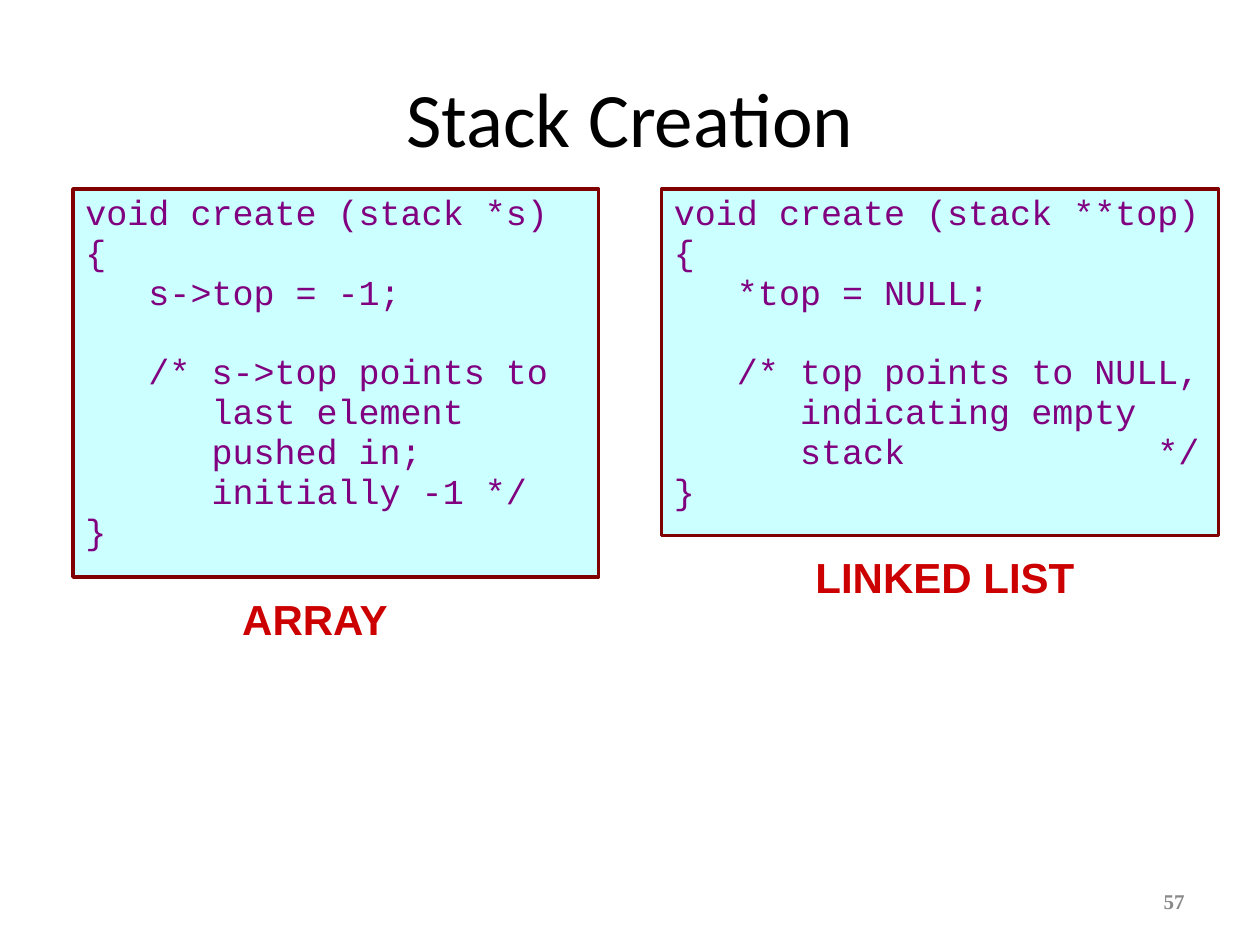
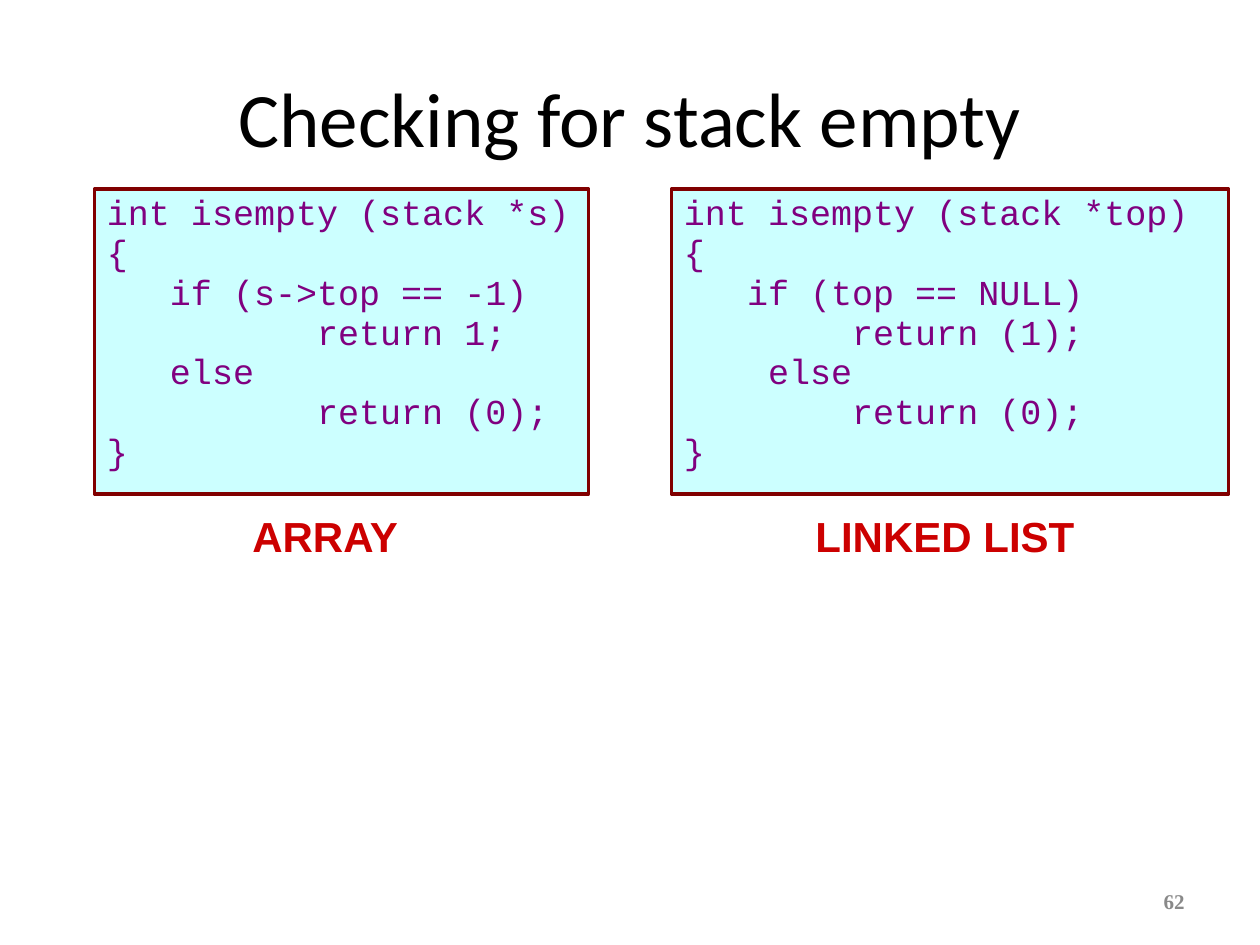
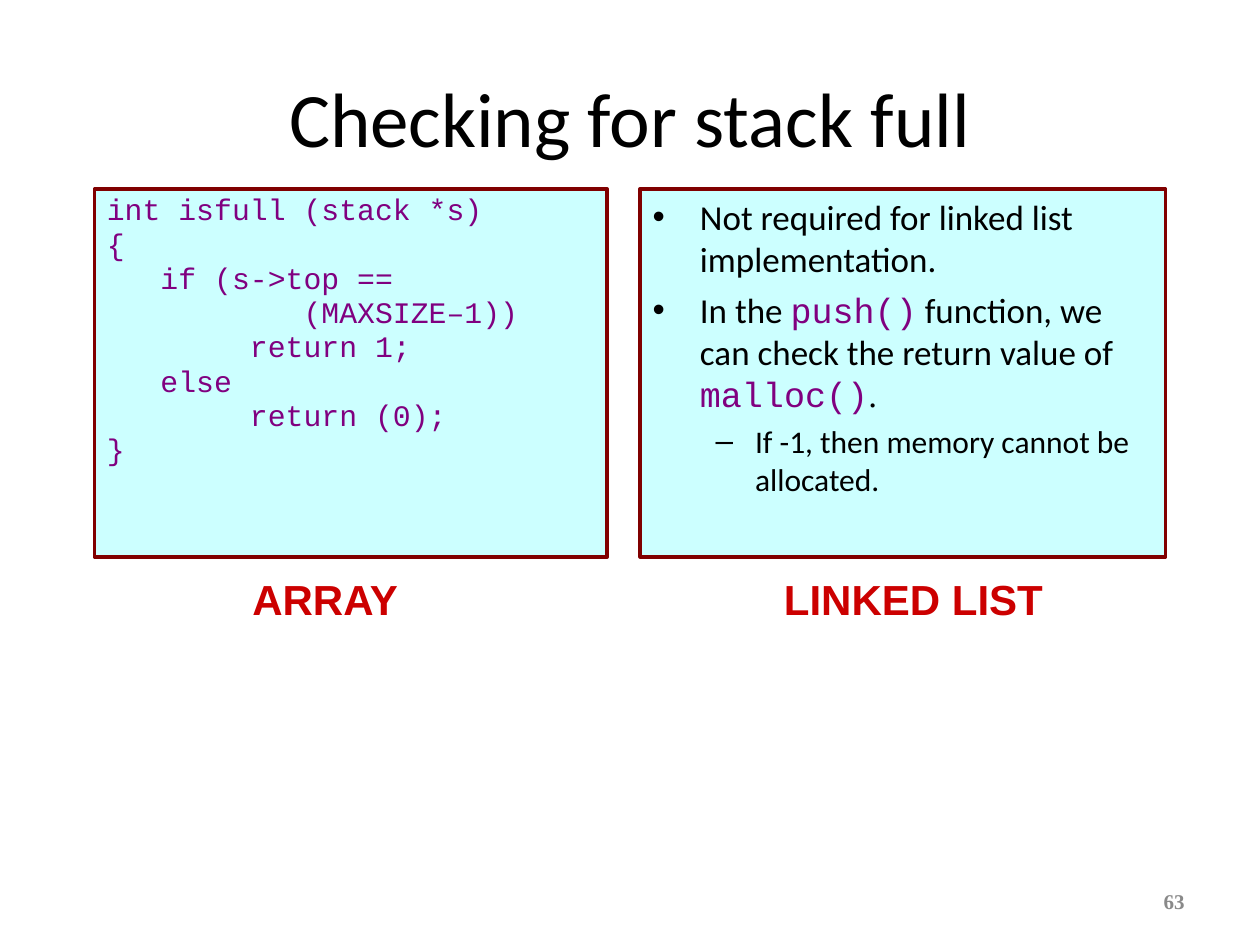
import pptx
import pptx.dml.color
import pptx.enum.shapes
import pptx.enum.text
import pptx.util

Inches, Pt = pptx.util.Inches, pptx.util.Pt
ALIGN = pptx.enum.text.PP_ALIGN
ANCHOR = pptx.enum.text.MSO_ANCHOR

BLACK, PANEL_FILL, PANEL_LINE = "000000", "CCFFFF", "800000"
CODE_COLOUR, LABEL_COLOUR, NUMBER_COLOUR = "800080", "CC0000", "898989"
SANS, CODE, LABEL, SERIF = "Calibri", "Courier New", "Arial", "Times New Roman"

PANEL_TOP, LABEL_GAP, LABEL_HEIGHT = 1.5, 0.08, 0.5
LABEL_WIDTHS = {"ARRAY": 1.83, "LINKED LIST": 3.17}
LIST_SIZES = [20, 18]
LIST_SPACING = [5, 4.5]
TITLE_AND_CONTENT, TITLE_ONLY = 1, 5

CREATE_ARRAY = """void create (stack *s)
{
   s->top = -1;

   /* s->top points to
      last element
      pushed in;
      initially -1 */
}"""

CREATE_LINKED = """void create (stack **top)
{
   *top = NULL;

   /* top points to NULL,
      indicating empty
      stack            */
}"""

EMPTY_ARRAY = """int isempty (stack *s)
{
   if (s->top == -1)
          return 1;
   else
          return (0);
}"""

EMPTY_LINKED = """int isempty (stack *top)
{
   if (top == NULL)
        return (1);
    else
        return (0);
}"""

FULL_ARRAY = """int isfull (stack *s)
{
   if (s->top ==
           (MAXSIZE–1))
        return 1;
   else
        return (0);
}"""

# Each item: level, then spans of (text, font)
FULL_LINKED = [
    (0, [("Not required for linked list implementation.", SANS)]),
    (0, [("In the ", SANS), ("push()", CODE),
         (" function, we can check the return value of ", SANS),
         ("malloc()", CODE), (".", SERIF)]),
    (1, [("If -1, then memory cannot be allocated.", SANS)]),
]

# Each panel: label, label centre, left, width, height, code size, content
SLIDES = [
    ("Stack Creation", 57, [
        ("ARRAY", 2.5, 0.58, 4.17, 3.08, 20, CREATE_ARRAY),
        ("LINKED LIST", 7.5, 5.25, 4.42, 2.75, 20, CREATE_LINKED)]),
    ("Checking for stack empty", 62, [
        ("ARRAY", 2.58, 0.75, 3.92, 2.42, 20, EMPTY_ARRAY),
        ("LINKED LIST", 7.5, 5.33, 4.42, 2.42, 20, EMPTY_LINKED)]),
    ("Checking for stack full", 63, [
        ("ARRAY", 2.58, 0.75, 4.07, 2.92, 17, FULL_ARRAY),
        ("LINKED LIST", 7.25, 5.08, 4.17, 2.92, None, FULL_LINKED)]),
]


def colour(value):
    return pptx.dml.color.RGBColor.from_string(value)


def style(font, name, size, value, bold=False):
    font.name, font.size, font.bold = name, Pt(size), bold
    font.color.rgb = colour(value)


def place(shape, left, top, width, height):
    shape.left, shape.top = Inches(left), Inches(top)
    shape.width, shape.height = Inches(width), Inches(height)


def set_frame(shape, anchor):
    frame = shape.text_frame
    frame.word_wrap = True
    frame.auto_size = pptx.enum.text.MSO_AUTO_SIZE.NONE
    frame.vertical_anchor = anchor
    return frame


def paint_panel(shape):
    shape.fill.solid()
    shape.fill.fore_color.rgb = colour(PANEL_FILL)
    shape.line.color.rgb = colour(PANEL_LINE)
    shape.line.width = Pt(2)


def add_title(slide, text):
    title = slide.shapes.title
    place(title, 0.5, 0.3, 9, 1.25)
    frame = set_frame(title, ANCHOR.MIDDLE)
    frame.text = text
    frame.paragraphs[0].alignment = ALIGN.CENTER
    style(frame.paragraphs[0].runs[0].font, SANS, 44, BLACK)


def add_text(slide, text, area, anchor, align, *font_style):
    box = slide.shapes.add_textbox(*map(Inches, area))
    frame = set_frame(box, anchor)
    frame.text = text
    frame.paragraphs[0].alignment = align
    style(frame.paragraphs[0].runs[0].font, *font_style)


def add_code(slide, area, size, code):
    box = slide.shapes.add_shape(
        pptx.enum.shapes.MSO_SHAPE.RECTANGLE, *map(Inches, area))
    box.shadow.inherit = False
    paint_panel(box)
    frame = set_frame(box, ANCHOR.TOP)
    frame.text = code
    for index, para in enumerate(frame.paragraphs):
        para.alignment = ALIGN.LEFT
        para.line_spacing = 0.9
        para.space_before = Pt(1.2 if index else 0)
        style(para.font, CODE, size, CODE_COLOUR)
        for span in para.runs:
            style(span.font, CODE, size, CODE_COLOUR)


def add_list(slide, area, items):
    body = slide.placeholders[1]
    place(body, *area)
    paint_panel(body)
    frame = set_frame(body, ANCHOR.TOP)
    for index, (level, spans) in enumerate(items):
        para = frame.add_paragraph() if index else frame.paragraphs[0]
        para.level = level
        para.space_before = Pt(LIST_SPACING[level] if index else 0)
        for text, font_name in spans:
            span = para.add_run()
            span.text = text
            style(span.font, font_name, LIST_SIZES[level],
                  CODE_COLOUR if font_name == CODE else BLACK)


def add_panel(slide, label, centre, left, width, height, size, content):
    area = (left, PANEL_TOP, width, height)
    if isinstance(content, str):
        add_code(slide, area, size, content)
    else:
        add_list(slide, area, content)
    label_width = LABEL_WIDTHS[label]
    label_area = (centre - label_width / 2, PANEL_TOP + height + LABEL_GAP,
                  label_width, LABEL_HEIGHT)
    add_text(slide, label, label_area, ANCHOR.TOP, ALIGN.CENTER,
             LABEL, 24, LABEL_COLOUR, True)


def main():
    deck = pptx.Presentation()
    deck.slide_width, deck.slide_height = Inches(10), Inches(7.5)
    for title, number, panels in SLIDES:
        has_list = any(isinstance(panel[-1], list) for panel in panels)
        layout = TITLE_AND_CONTENT if has_list else TITLE_ONLY
        slide = deck.slides.add_slide(deck.slide_layouts[layout])
        add_title(slide, title)
        for panel in panels:
            add_panel(slide, *panel)
        add_text(slide, str(number), (7.17, 6.95, 2.33, 0.4), ANCHOR.MIDDLE,
                 ALIGN.RIGHT, SERIF, 12, NUMBER_COLOUR, True)
    deck.save("out.pptx")


if __name__ == "__main__":
    main()
